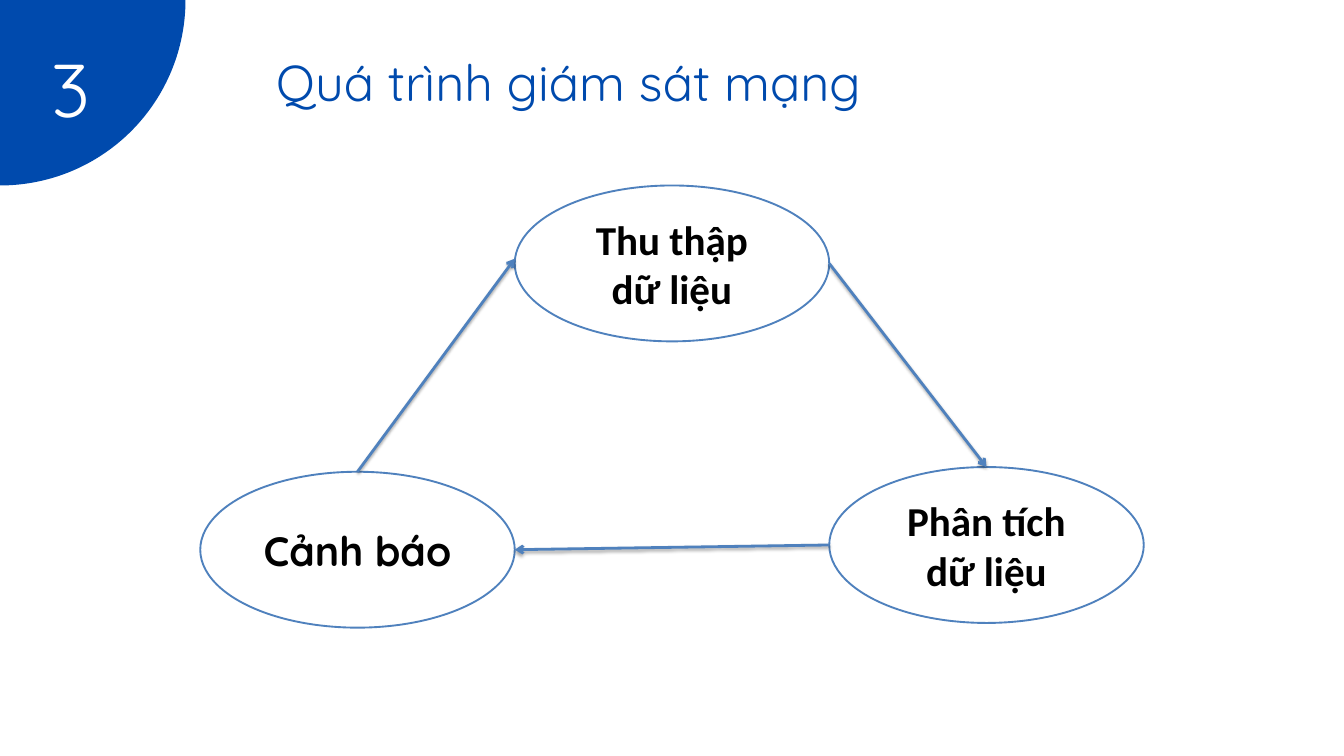
from lxml import etree
from pptx import Presentation
from pptx.dml.color import RGBColor
from pptx.enum.shapes import MSO_CONNECTOR as CXN, MSO_SHAPE as SHAPE
from pptx.enum.text import MSO_ANCHOR as ANCHOR, MSO_AUTO_SIZE as AUTO, PP_ALIGN as ALIGN
from pptx.oxml import parse_xml
from pptx.oxml.ns import nsdecls, qn
from pptx.util import Inches, Pt

W, H = 20, 11.25
BLUE, OUTLINE, WHITE, BLACK = "004AAD", "4F81BD", "FFFFFF", "000000"
DISC_R = 2.76
NODE_W, NODE_H = 4.68, 2.32

HEADINGS = [
    ("3", (0, 0.41, 2.12, 1.51), 112, dict(size=Pt(80), name="Quicksand"), WHITE),
    ("Quá trình giám sát mạng", (2.48, 0.69, 11.96, 0.96), 70,
     dict(size=Pt(54), name="Quicksand"), BLUE),
]
NODES = {
    "collect": (0, 2.76, "Calibri", ["Thu thập", "dữ liệu"]),
    "analyse": (1, 6.95, "Calibri", ["Phân tích", "dữ liệu"]),
    "alert": (-1, 7.02, "Quicksand", ["Cảnh báo"]),
}
ARROWS = [
    ("alert", "top", "collect", "left", -0.07),
    ("collect", "right", "analyse", "top", 0),
    ("analyse", "left", "alert", "right", 0),
]
SIDES = {"top": (0.5, 0), "left": (0, 0.5), "right": (1, 0.5)}
SHADOW = (f'<a:effectLst {nsdecls("a")}><a:outerShdw blurRad="40000" dist="23000" '
          'dir="5400000" rotWithShape="0"><a:srgbClr val="000000">'
          '<a:alpha val="35000"/></a:srgbClr></a:outerShdw></a:effectLst>')


def color(value):
    return RGBColor.from_string(value)


def box(values):
    return [Inches(v) for v in values]


def write(tf, lines, font, text_color, spacing=None):
    for i, line in enumerate(lines):
        p = tf.paragraphs[0] if i == 0 else tf.add_paragraph()
        p.alignment = ALIGN.CENTER
        if spacing:
            p.line_spacing = Pt(spacing)
        r = p.add_run()
        r.text = line
        for key, value in font.items():
            setattr(r.font, key, value)
        r.font.color.rgb = color(text_color)


def add_oval(s, bounds, fill, line=None):
    sp = s.shapes.add_shape(SHAPE.OVAL, *box(bounds))
    sp.shadow.inherit = False
    sp.fill.solid()
    sp.fill.fore_color.rgb = color(fill)
    if line:
        sp.line.color.rgb = color(line)
        sp.line.width = Pt(2)
    else:
        sp.line.fill.background()
    return sp


def add_heading(s, text, bounds, spacing, font, text_color):
    tf = s.shapes.add_textbox(*box(bounds)).text_frame
    margins = dict.fromkeys(
        ["margin_left", "margin_top", "margin_right", "margin_bottom"], 0)
    for key, value in dict(margins, word_wrap=True, auto_size=AUTO.SHAPE_TO_FIT_TEXT).items():
        setattr(tf, key, value)
    write(tf, [text], font, text_color, spacing)


def node_left(column):
    return (W - NODE_W) / 2 + column * NODE_W


def add_node(s, column, top, font, lines):
    sp = add_oval(s, (node_left(column), top, NODE_W, NODE_H), WHITE, OUTLINE)
    tf = sp.text_frame
    tf.word_wrap = True
    tf.vertical_anchor = ANCHOR.MIDDLE
    write(tf, lines, dict(size=Pt(44), name=font, bold=True), BLACK)


def side_point(node, side, shift=0):
    column, top = NODES[node][:2]
    fx, fy = SIDES[side]
    return node_left(column) + fx * NODE_W, top + fy * NODE_H + shift


def add_arrow(s, source, source_side, target, target_side, shift):
    ends = side_point(source, source_side) + side_point(target, target_side, shift)
    c = s.shapes.add_connector(CXN.STRAIGHT, *box(ends))
    c.line.color.rgb = color(OUTLINE)
    c.line.width = Pt(3)
    etree.SubElement(c.line._get_or_add_ln(), qn("a:tailEnd"), type="arrow")
    c._element.spPr.append(parse_xml(SHADOW))


def main():
    prs = Presentation()
    prs.slide_width, prs.slide_height = box((W, H))
    s = prs.slides.add_slide(prs.slide_layouts[6])
    add_oval(s, (-DISC_R, -DISC_R, 2 * DISC_R, 2 * DISC_R), BLUE)
    for heading in HEADINGS:
        add_heading(s, *heading)
    for node in NODES.values():
        add_node(s, *node)
    for arrow in ARROWS:
        add_arrow(s, *arrow)
    prs.save("out.pptx")


if __name__ == "__main__":
    main()
